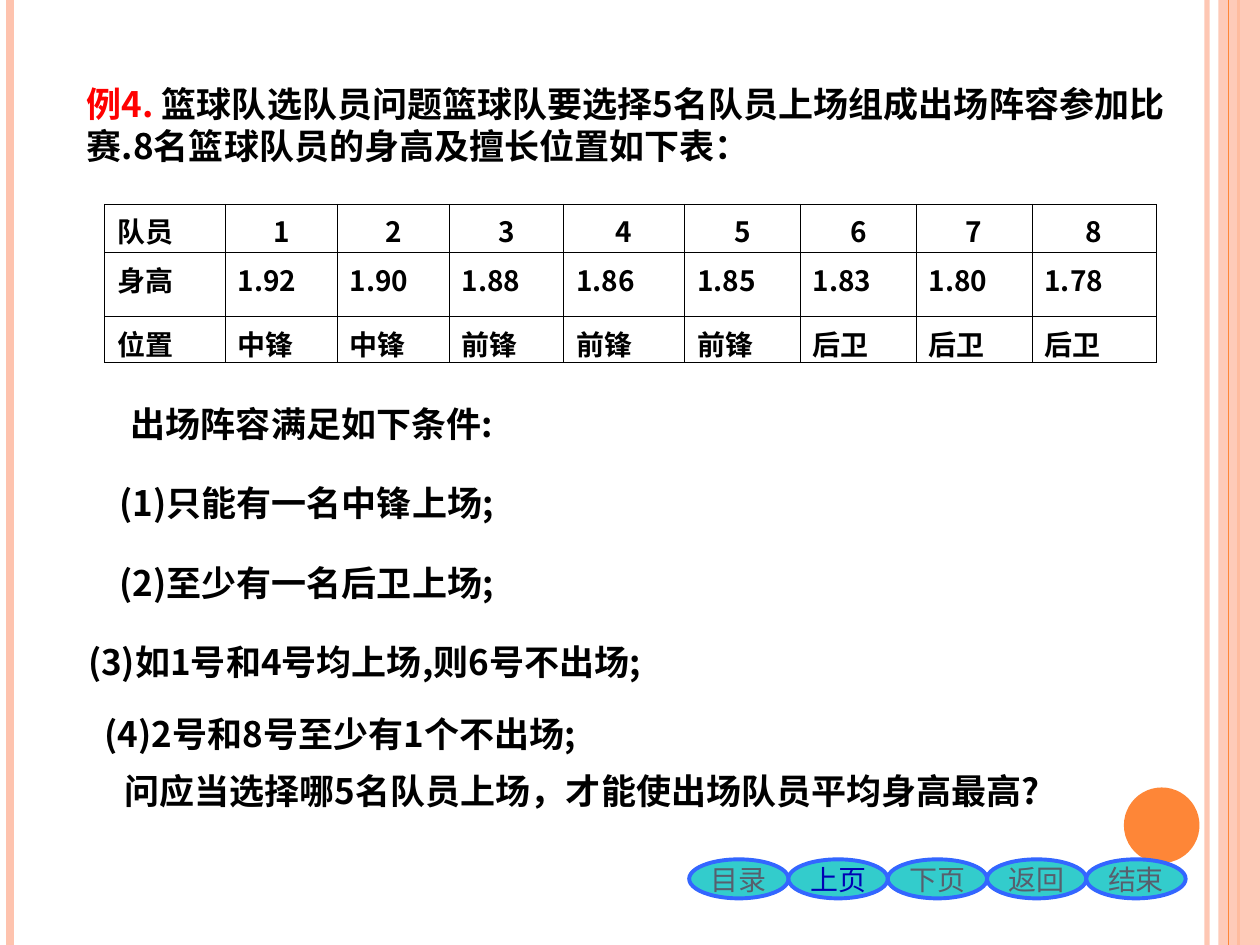
import collections
import dataclasses

import lxml.etree
import pptx
import pptx.dml.color
import pptx.enum.shapes
import pptx.enum.text
import pptx.oxml.ns
import pptx.util

SHAPE = pptx.enum.shapes.MSO_SHAPE
ALIGN = pptx.enum.text.PP_ALIGN
ANCHOR = pptx.enum.text.MSO_ANCHOR
Box = collections.namedtuple("Box", "x y w h")


@dataclasses.dataclass(frozen=True)
class Theme:
    font: str = "Noto Sans CJK SC"
    mono: str = "Courier New"
    ink: str = "000000"
    red: str = "FF0000"
    peach: str = "FEC3AE"
    orange: str = "FE8637"
    teal: str = "33CCCC"
    blue: str = "3366FF"
    muted: str = "575F6D"
    active: str = "0000B4"
    body: int = 20
    small: int = 16
    border: float = 0.45


T = Theme()
COLUMNS, ROWS = 100, 75
UNIT = pptx.util.Inches(10) // COLUMNS
qn = pptx.oxml.ns.qn


def grid(n):
    return round(n * UNIT)


def rgb(c):
    return pptx.dml.color.RGBColor.from_string(c)


def within(box, x, y, w, h):
    return Box(box.x + x, box.y + y, w, h)


def set_alpha(s, percent):
    color = next(s._element.iter(qn("a:srgbClr")))
    lxml.etree.SubElement(color, qn("a:alpha"), val=str(percent * 1000))


def add_text(p, text, *, size=T.body, color=T.ink, bold=True, font=T.font, align=ALIGN.LEFT):
    p.alignment = align
    r = p.add_run()
    r.text = text
    r.font.size = pptx.util.Pt(size)
    r.font.bold = bold
    r.font.name = font
    r.font.color.rgb = rgb(color)
    latin = r.font._element.find(qn("a:latin"))
    latin.addnext(latin.makeelement(qn("a:ea"), {"typeface": T.font}))


def add_box(shapes, box, runs, anchor=ANCHOR.MIDDLE):
    tf = shapes.add_textbox(*map(grid, box)).text_frame
    tf.word_wrap = True
    tf.vertical_anchor = anchor
    for text, color in runs:
        add_text(tf.paragraphs[0], text, color=color)


def add_shape(shapes, kind, box, fill, line=None):
    s = shapes.add_shape(kind, *map(grid, box))
    s.shadow.inherit = False
    s.fill.solid()
    s.fill.fore_color.rgb = rgb(fill)
    if line:
        s.line.color.rgb = rgb(line)
        s.line.width = pptx.util.Pt(2.25)
    else:
        s.line.fill.background()
    return s


def add_rail(shapes, box, x, color, width):
    x = grid(box.x + x)
    s = shapes.add_connector(pptx.enum.shapes.MSO_CONNECTOR.STRAIGHT,
                             x, grid(box.y), x, grid(box.y + box.h))
    s.line.color.rgb = rgb(color)
    s.line.width = pptx.util.Pt(width)
    lxml.etree.SubElement(s._element.spPr, qn("a:effectLst"))
    return s


def frame(shapes, box):
    set_alpha(add_rail(shapes, box, 95.8, T.peach, 3), 93)
    add_rail(shapes, box, 0.8, T.peach, 4.5)
    add_rail(shapes, box, 98.3, T.orange, 1.5)
    band = add_shape(shapes, SHAPE.RECTANGLE, within(box, 96.7, 0, 3.3, box.h), T.peach)
    set_alpha(band, 87)
    add_rail(shapes, box, 97.5, T.orange, 0.75)
    add_shape(shapes, SHAPE.OVAL, within(box, 89.2, 62.5, 6, 6), T.orange)


def heading(shapes, box):
    add_box(shapes, box, [
        ("例4. ", T.red),
        ("篮球队选队员问题篮球队要选择5名队员上场组成出场阵容参加比赛.8名篮球队员的身高及擅长位置如下表：", T.ink),
    ])


def add_borders(cell):
    tc_pr = cell._tc.get_or_add_tcPr()
    for i, side in enumerate("LRTB"):
        ln = tc_pr.makeelement(qn("a:ln" + side), {"w": str(pptx.util.Pt(T.border))})
        fill = lxml.etree.SubElement(ln, qn("a:solidFill"))
        lxml.etree.SubElement(fill, qn("a:srgbClr"), val=T.ink)
        tc_pr.insert(i, ln)


def player_table(shapes, box):
    rows = [
        ["队员", *map(str, range(1, 9))],
        ["身高", "1.92", "1.90", "1.88", "1.86", "1.85", "1.83", "1.80", "1.78"],
        ["位置"] + ["中锋"] * 2 + ["前锋"] * 3 + ["后卫"] * 3,
    ]
    widths = [9.6, 8.9, 8.9, 9.1, 9.6, 9.2, 9.2, 9.2, 9.9]
    heights = [3.9, 5.1, 3.7]
    table = shapes.add_table(len(rows), len(widths), *map(grid, box)).table
    table.first_row = table.horz_banding = False
    for column, w in zip(table.columns, widths):
        column.width = grid(box.w * w / sum(widths))
    for row, h in zip(table.rows, heights):
        row.height = grid(box.h * h / sum(heights))
    for i, values in enumerate(rows):
        for j, value in enumerate(values):
            cell = table.cell(i, j)
            cell.fill.background()
            cell.margin_bottom = 0
            add_borders(cell)
            add_text(cell.text_frame.paragraphs[0], value, size=T.small,
                     font=T.mono if i == 2 else T.font,
                     align=ALIGN.CENTER if i == 0 and j else ALIGN.LEFT)


def conditions(shapes, box):
    lines = [
        (3.4, 0, 32.7, "出场阵容满足如下条件:"),
        (2.5, 6.3, 32.6, "(1)只能有一名中锋上场;"),
        (2.5, 12.6, 32.6, "(2)至少有一名后卫上场;"),
        (0, 18.9, 51.9, "(3)如1号和4号均上场,则6号不出场;"),
        (1.3, 24.6, 43.6, "(4)2号和8号至少有1个不出场;"),
    ]
    for x, y, w, text in lines:
        add_box(shapes, within(box, x, y, w, 4.4), [(text, T.ink)])
    add_box(shapes, within(box, 2.9, 29.2, 77.2, 7.7),
            [("问应当选择哪5名队员上场，才能使出场队员平均身高最高?", T.ink)], ANCHOR.TOP)


def navigation(shapes, box):
    labels = ["目录", "上页", "下页", "返回", "结束"]
    group = shapes.add_group_shape()
    step = box.w / len(labels)
    for i, label in enumerate(labels):
        s = add_shape(group.shapes, SHAPE.OVAL,
                      within(box, i * step, 0, step, box.h), T.teal, T.blue)
        tf = s.text_frame
        tf.word_wrap = False
        tf.vertical_anchor = ANCHOR.MIDDLE
        add_text(tf.paragraphs[0], label, size=T.small, bold=False, align=ALIGN.CENTER,
                 color=T.active if label == "上页" else T.muted)


def main():
    prs = pptx.Presentation()
    prs.slide_width, prs.slide_height = grid(COLUMNS), grid(ROWS)
    shapes = prs.slides.add_slide(prs.slide_layouts[6]).shapes
    frame(shapes, Box(0, 0, COLUMNS, ROWS))
    heading(shapes, Box(5.9, 6, 88.2, 7.7))
    player_table(shapes, Box(8.3, 16.2, 83.5, 12.6))
    navigation(shapes, Box(54.7, 68.2, 39.4, 3.1))
    conditions(shapes, Box(6, 31.4, 80.1, 36.9))
    prs.save("out.pptx")


if __name__ == "__main__":
    main()
